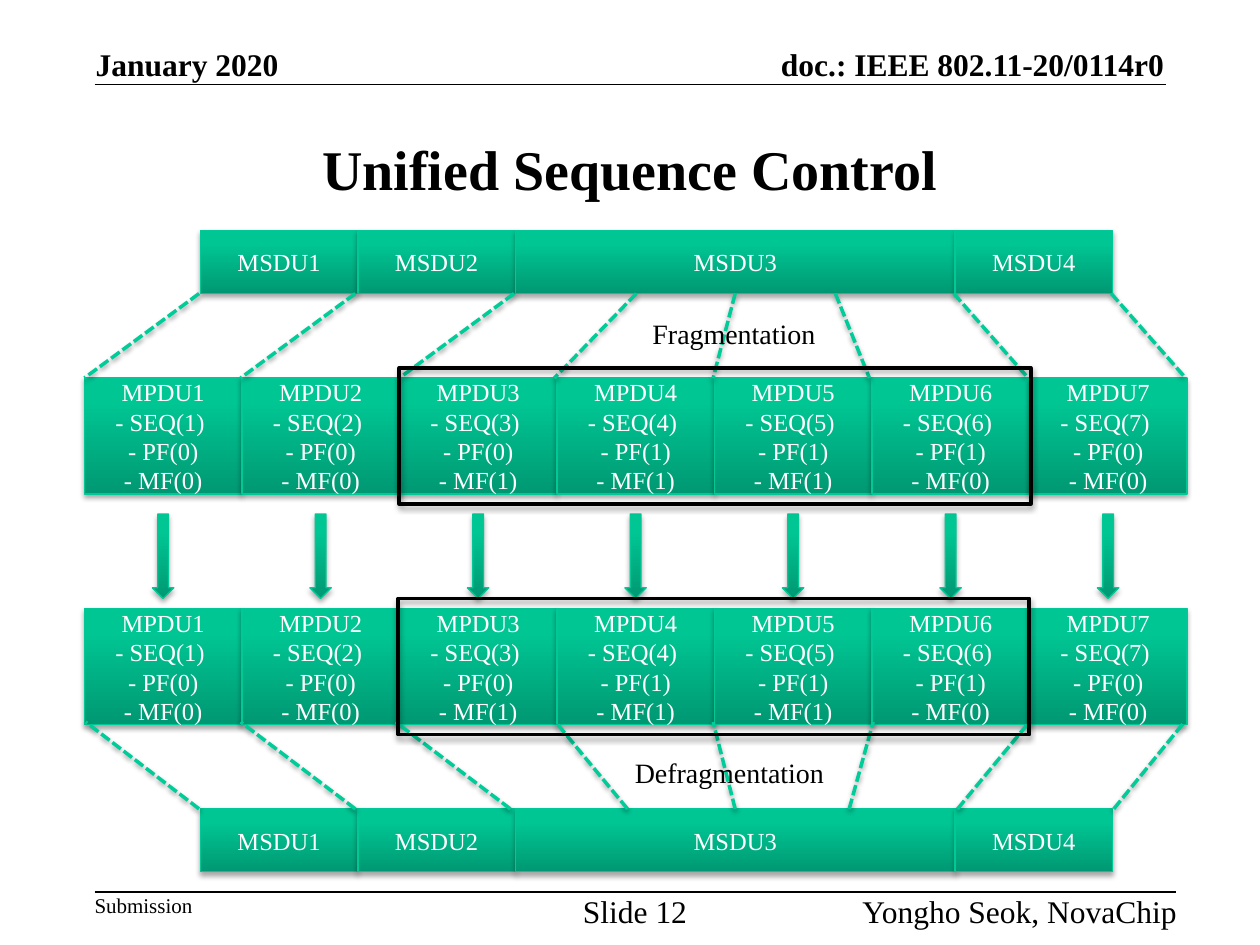
"""Build the Unified Sequence Control slide on fragmenting and defragmenting MSDUs."""
from lxml import etree
from pptx import Presentation
from pptx.dml.color import RGBColor
from pptx.enum.dml import MSO_LINE
from pptx.enum.shapes import MSO_CONNECTOR, MSO_SHAPE
from pptx.enum.text import MSO_ANCHOR, MSO_AUTO_SIZE, PP_ALIGN
from pptx.oxml.ns import qn
from pptx.util import Inches, Pt

RECTANGLE, DOWN_ARROW = MSO_SHAPE.RECTANGLE, MSO_SHAPE.DOWN_ARROW
STRAIGHT, DASHED = MSO_CONNECTOR.STRAIGHT, MSO_LINE.SQUARE_DOT
LEFT, CENTER, RIGHT = PP_ALIGN.LEFT, PP_ALIGN.CENTER, PP_ALIGN.RIGHT
TOP, MIDDLE, BOTTOM = MSO_ANCHOR.TOP, MSO_ANCHOR.MIDDLE, MSO_ANCHOR.BOTTOM
FIT_SHAPE = MSO_AUTO_SIZE.SHAPE_TO_FIT_TEXT
COLORS = {
    "black": "000000",
    "white": "FFFFFF",
    "deep": "009872",
    "bright": "00C694",
    "edge": "00C896",
    "dash": "00CC99",
}
RGB = {name: RGBColor.from_string(code) for name, code in COLORS.items()}
FONT = "Times New Roman"


def write(shape, text, size=14, color="white", bold=False, align=CENTER,
          anchor=MIDDLE, margin=None, grow=False):
    frame = shape.text_frame
    frame.word_wrap = not grow
    frame.vertical_anchor = anchor
    if grow:
        frame.auto_size = FIT_SHAPE
    if margin is not None:
        frame.margin_left = frame.margin_right = Inches(margin)
        frame.margin_top = frame.margin_bottom = Inches(margin)
    paragraph = frame.paragraphs[0]
    paragraph.text = text
    paragraph.alignment = align
    for run in paragraph.runs:
        run.font.name, run.font.size, run.font.bold = FONT, Pt(size), bold
        run.font.color.rgb = RGB[color]
    for line_break in paragraph._p.findall(qn("a:br")):
        etree.SubElement(line_break, qn("a:rPr"), sz=str(size * 100))


def outline(shape, color, width, distance=0, opacity=0):
    shape.line.color.rgb = RGB[color]
    shape.line.width = Pt(width)
    effects = etree.SubElement(shape._element.spPr, qn("a:effectLst"))
    if opacity:
        shadow = etree.SubElement(
            effects, qn("a:outerShdw"), blurRad=str(Pt(3.1)),
            dist=str(Pt(distance)), dir="5400000", rotWithShape="0")
        shade = etree.SubElement(shadow, qn("a:srgbClr"), val=COLORS["black"])
        etree.SubElement(shade, qn("a:alpha"), val=str(opacity * 1000))


prs = Presentation()
prs.slide_width, prs.slide_height = Inches(10), Inches(7.5)
slide = prs.slides.add_slide(prs.slide_layouts[6])
shapes = slide.shapes

for y, right in [(0.67, 9.25), (7.08, 9.33)]:
    rule = shapes.add_connector(
        STRAIGHT, Inches(0.75), Inches(y), Inches(right), Inches(y))
    outline(rule, "black", 1)

page_texts = [
    ("doc.: IEEE 802.11-20/0114r0", 5.66, 0.36, 3.58, 0.3, 18, True, RIGHT, BOTTOM),
    ("January 2020", 0.76, 0.36, 1.47, 0.3, 18, True, LEFT, BOTTOM),
    ("Submission", 0.75, 7.08, 0.78, 0.2, 12, False, LEFT, TOP),
    ("Yongho Seok, NovaChip", 6.74, 7.08, 2.6, 0.3, 18, False, RIGHT, TOP),
    ("Slide 12", 4.54, 7.08, 1, 0.3, 18, False, CENTER, TOP),
]
for text, x, y, width, height, size, bold, align, anchor in page_texts:
    page_text = shapes.add_textbox(Inches(x), Inches(y), Inches(width), Inches(height))
    write(page_text, text, size=size, color="black", bold=bold, align=align,
          anchor=anchor, margin=0, grow=True)

title = shapes.add_textbox(Inches(0), Inches(0.75), Inches(10), Inches(1.17))
write(title, "Unified Sequence Control", size=32, color="black", bold=True)

UNIT = 1.25
MPDU_LEFT, MPDU_HEIGHT = 0.67, 0.92
MSDU_LEFT, MSDU_HEIGHT = 1.59, 0.5
msdu_widths = [UNIT, UNIT, 3.49, UNIT]
fragment_flags = [(0, 0), (0, 0), (0, 1), (1, 1), (1, 1), (1, 0), (0, 0)]
stages = [
    (3, 1.83, 2.33, 3, 2,
     [(1.58, 0.67), (2.82, 1.91), (4.08, 3.17), (5.05, 4.4),
      (5.83, 5.66), (6.63, 6.9), (7.57, 8.16), (8.82, 9.41)]),
    (4.83, 6.42, 6.42, 5.73, 0,
     [(1.58, 0.68), (2.82, 1.91), (4.05, 3.14), (4.98, 4.41),
      (5.84, 5.66), (6.74, 6.93), (7.6, 8.17), (8.84, 9.4)]),
]

for mpdu_top, msdu_top, msdu_edge, mpdu_edge, msdu_side, links in stages:
    blocks = []
    for i, (previous, more) in enumerate(fragment_flags):
        label = f"MPDU{i + 1}\n- SEQ({i + 1}) \n- PF({previous})\n- MF({more})"
        x = MPDU_LEFT + i * UNIT
        blocks.append((RECTANGLE, label, x, mpdu_top, UNIT, MPDU_HEIGHT))
    for i, width in enumerate(msdu_widths):
        x = MSDU_LEFT + sum(msdu_widths[:i])
        blocks.append((RECTANGLE, f"MSDU{i + 1}", x, msdu_top, width, MSDU_HEIGHT))
    if mpdu_top == 3:
        for i in range(len(fragment_flags)):
            x = MPDU_LEFT + i * UNIT + 0.54
            blocks.append((DOWN_ARROW, "", x, 4.08, 0.17, 0.67))

    for kind, label, x, y, width, height in blocks:
        block = shapes.add_shape(kind, Inches(x), Inches(y), Inches(width), Inches(height))
        block.fill.gradient()
        block.fill.gradient_angle = 90
        dark, light = block.fill.gradient_stops
        dark.color.rgb, dark.position = RGB["deep"], 0
        light.color.rgb, light.position = RGB["bright"], 0.8
        outline(block, "edge", 0.75, distance=1.8, opacity=35)
        if label:
            write(block, label)
        if label == "MSDU3":
            fragmented = block

    for i, (msdu_x, mpdu_x) in enumerate(links):
        link = shapes.add_connector(STRAIGHT, Inches(msdu_x), Inches(msdu_edge),
                                    Inches(mpdu_x), Inches(mpdu_edge))
        if i == 4:
            link.begin_connect(fragmented, msdu_side)
        outline(link, "dash", 2, distance=1.6, opacity=38)
        link.line.dash_style = DASHED

for step, x, y, width in [("Fragmentation", 5.08, 2.46, 1.51),
                          ("Defragmentation", 4.94, 5.95, 1.73)]:
    caption = shapes.add_textbox(Inches(x), Inches(y), Inches(width), Inches(0.37))
    write(caption, step, size=16, color="black", align=LEFT, anchor=TOP, grow=True)

for x, y in [(3.16, 4.75), (3.17, 2.92)]:
    fragment_group = shapes.add_shape(
        RECTANGLE, Inches(x), Inches(y), Inches(5.01), Inches(1.08))
    fragment_group.fill.background()
    outline(fragment_group, "black", 2.25, distance=1.8, opacity=35)

prs.save("out.pptx")
